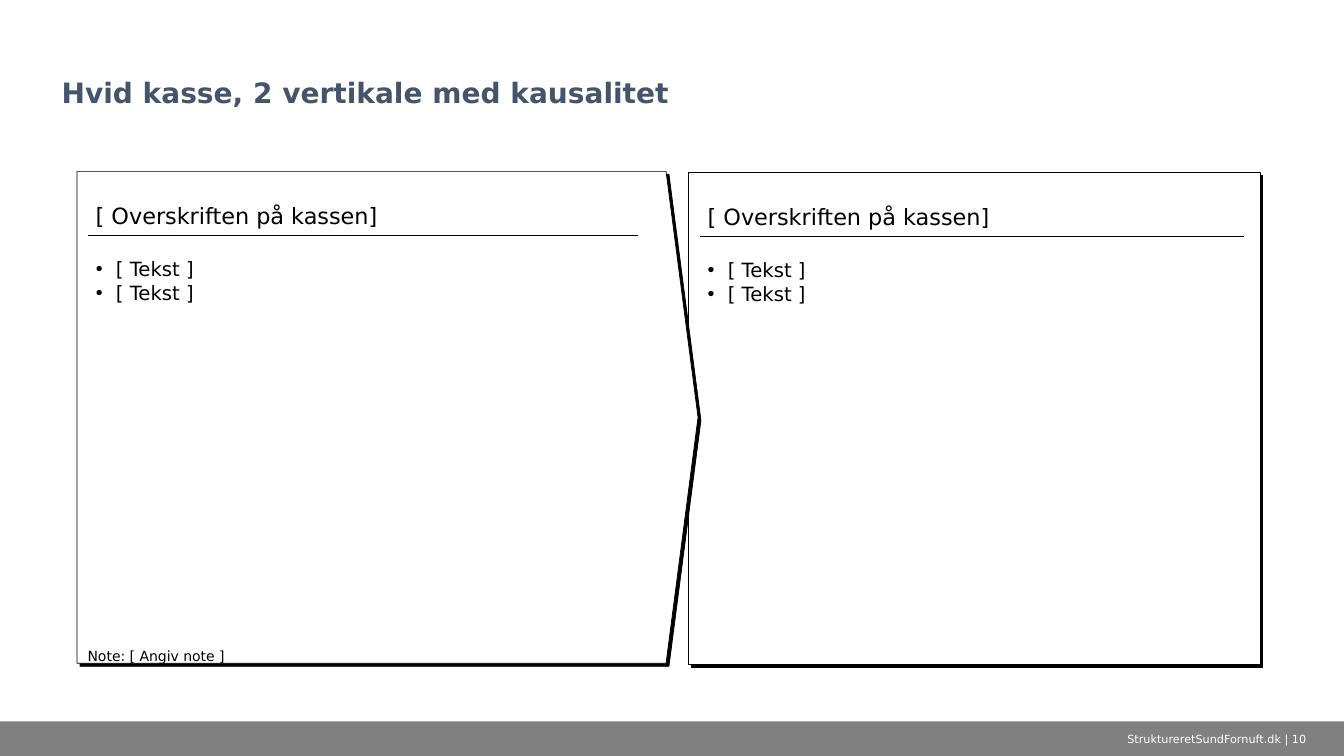
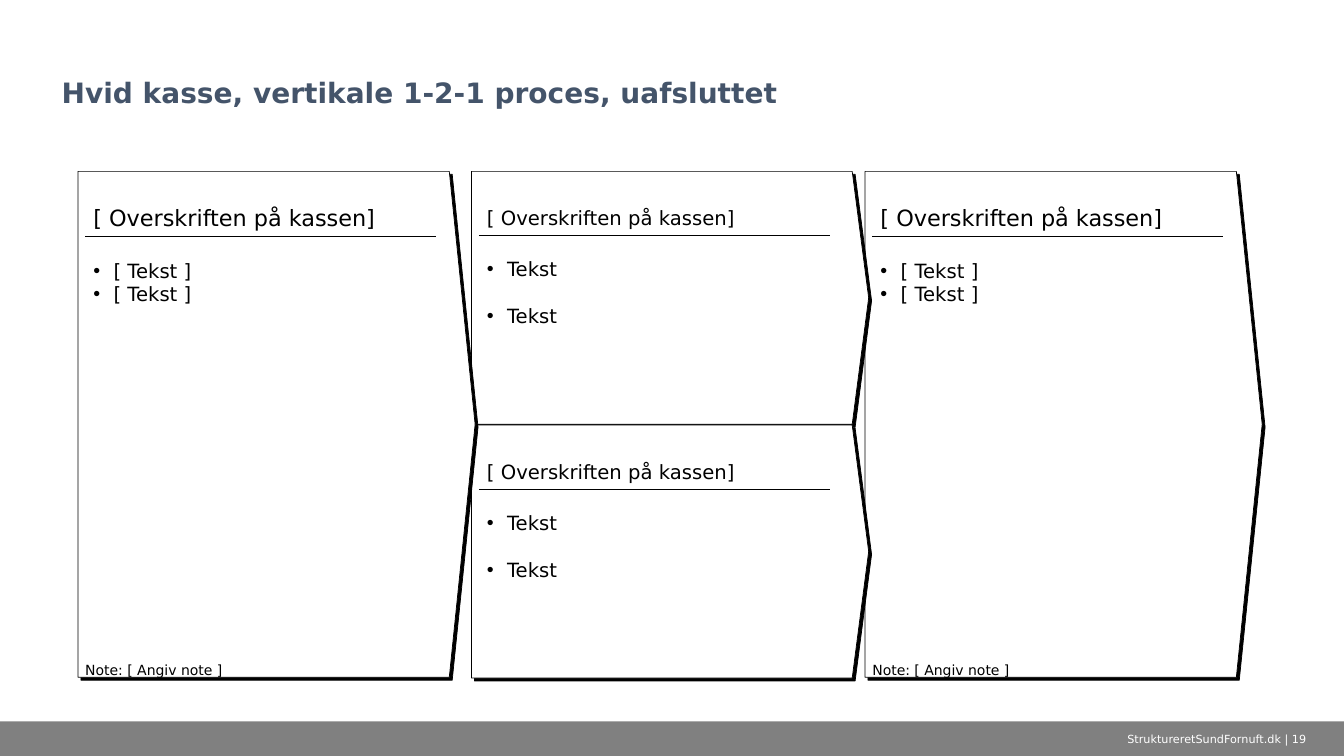
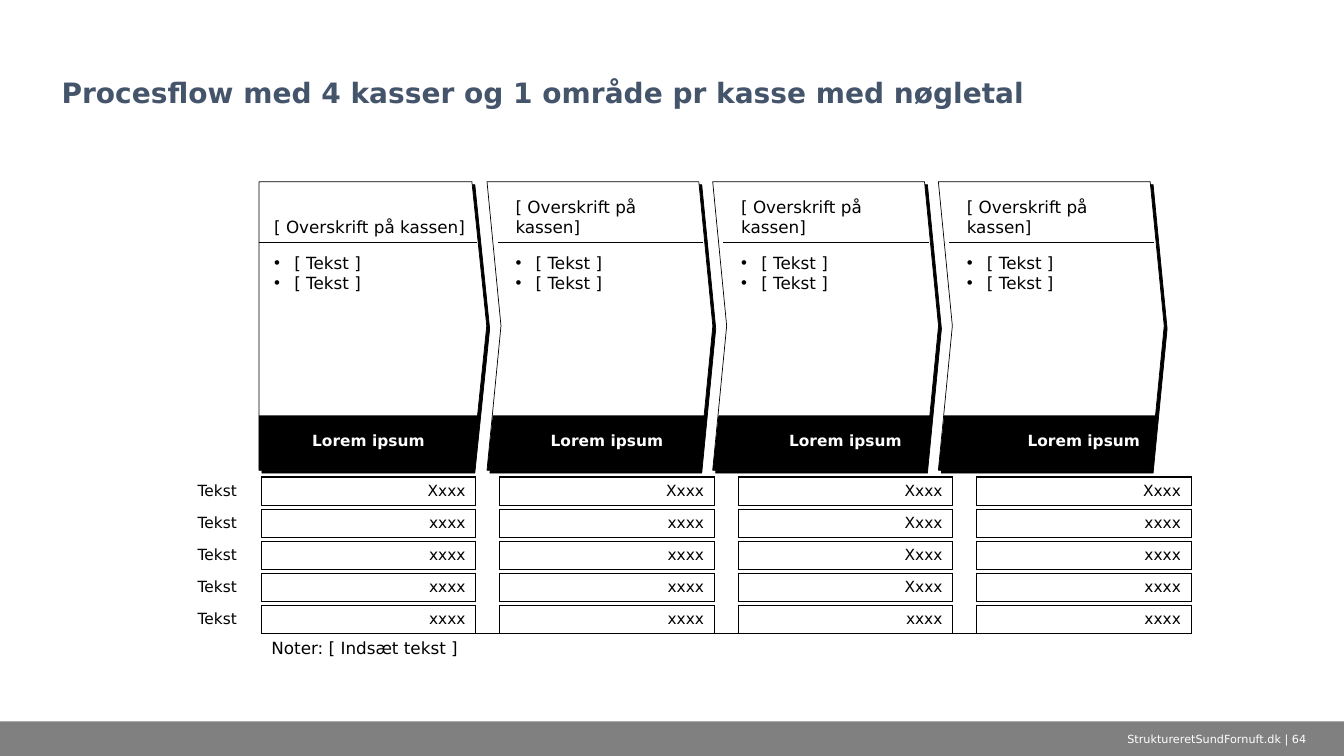
from collections.abc import Sequence
from dataclasses import dataclass, replace
from typing import NamedTuple

from lxml.etree import SubElement
from pptx import Presentation
from pptx.dml.color import RGBColor
from pptx.enum.shapes import MSO_CONNECTOR, MSO_SHAPE
from pptx.enum.text import MSO_ANCHOR, MSO_AUTO_SIZE, PP_ALIGN
from pptx.oxml.ns import qn
from pptx.util import Pt

COLOURS = {"ink": "000000", "paper": "FFFFFF", "title": "44546A", "footer": "808080"}
FONT = "DejaVu Sans"
SLIDE_WIDTH, SLIDE_HEIGHT = 960, 540
TWO_LISTS, FOUR_LISTS = 3, 4  # layouts with two and four body placeholders
BOX_INSETS = (5.8, 4.3, 5.8, 4.3)
DEFAULT_INSETS = (7.2, 3.6, 7.2, 3.6)
BULLET_INDENT = 14.4


class Area(NamedTuple):
    left: float
    top: float
    width: float
    height: float

    def points(self) -> list[Pt]:
        return [Pt(length) for length in self]


FOOTER = Area(0, 515.3, SLIDE_WIDTH, 24.7)
FOOTER_TEXT = Area(778.5, 515.3, 181.5, 24.5)
TITLE = Area(36.8, 12.2, 886.3, 69.8)


@dataclass(frozen=True)
class Card:
    """A white box: heading, rule and list, with an optional note or black base."""

    area: Area
    text_inset: float
    text_width: float
    rule_drop: float
    shape: MSO_SHAPE = MSO_SHAPE.PENTAGON
    point: float = 0.065
    heading: str = "[ Overskriften på kassen]"
    heading_size: float = 16
    items: tuple[str, ...] = ("[ Tekst ]", "[ Tekst ]")
    item_size: float = 14
    item_space: float = 0
    list_drop: float = 11.5
    rule_inset: float | None = None
    rule_width: float | None = None
    note: str = ""
    base_width: float = 0

    def moved(self, left: float, top: float | None = None) -> "Card":
        top = self.area.top if top is None else top
        return replace(self, area=self.area._replace(left=left, top=top))


def rgb(name: str) -> RGBColor:
    return RGBColor.from_string(COLOURS[name])


def add_bullet(para) -> None:
    properties = para._p.get_or_add_pPr()
    properties.set("marL", str(Pt(BULLET_INDENT)))
    properties.set("indent", str(-Pt(BULLET_INDENT)))
    SubElement(properties, qn("a:buFont")).set("typeface", "Arial")
    SubElement(properties, qn("a:buChar")).set("char", "•")


def write_text(frame, lines: Sequence[str], *, size: float, colour: str = "ink",
               bold: bool = False, align=PP_ALIGN.LEFT, bulleted: bool = False,
               space: float = 0, line_spacing: float = 1.0) -> None:
    for index, line in enumerate(lines):
        para = frame.paragraphs[0] if index == 0 else frame.add_paragraph()
        para.alignment = align
        para.line_spacing = line_spacing
        para.space_before = Pt(space if index else 0)
        para.space_after = Pt(0)
        if bulleted:
            add_bullet(para)
        span = para.add_run()
        span.text = line
        span.font.name = FONT
        span.font.size = Pt(size)
        span.font.bold = bold
        span.font.color.rgb = rgb(colour)


def set_frame(frame, *, anchor=MSO_ANCHOR.TOP,
              insets: tuple[float, ...] = DEFAULT_INSETS) -> None:
    frame.word_wrap = True
    frame.auto_size = MSO_AUTO_SIZE.NONE
    frame.vertical_anchor = anchor
    (frame.margin_left, frame.margin_top,
     frame.margin_right, frame.margin_bottom) = [Pt(inset) for inset in insets]


def add_text(page, area: Area, text: str, *, anchor=MSO_ANCHOR.TOP,
             insets: tuple[float, ...] = DEFAULT_INSETS, **text_format) -> None:
    box = page.shapes.add_textbox(*area.points())
    set_frame(box.text_frame, anchor=anchor, insets=insets)
    write_text(box.text_frame, [text], **text_format)


def place(placeholder, area: Area) -> None:
    (placeholder.left, placeholder.top,
     placeholder.width, placeholder.height) = area.points()


def add_page(deck, layout_index: int, title: str, number: int):
    page = deck.slides.add_slide(deck.slide_layouts[layout_index])
    heading = page.shapes.title
    place(heading, TITLE)
    set_frame(heading.text_frame, anchor=MSO_ANCHOR.BOTTOM)
    write_text(heading.text_frame, [title], size=20, colour="title", bold=True,
               line_spacing=0.9)
    add_text(page, FOOTER_TEXT, f"StruktureretSundFornuft.dk | {number}", size=8,
             colour="paper", align=PP_ALIGN.CENTER, anchor=MSO_ANCHOR.MIDDLE)
    return page


def add_footer_band(deck, page) -> None:
    """Draw the footer band and hand it to the master, so every page shows it."""
    band = page.shapes.add_shape(MSO_SHAPE.RECTANGLE, *FOOTER.points())
    band.shadow.inherit = False
    band.fill.solid()
    band.fill.fore_color.rgb = rgb("footer")
    band.line.fill.background()
    band.element.nvSpPr.cNvPr.set("id", "20")
    deck.slide_master.shapes.element.append(band.element)


def add_hard_shadow(shape) -> None:
    shape.shadow.inherit = False
    effects = shape.element.spPr.find(qn("a:effectLst"))
    shadow = SubElement(effects, qn("a:outerShdw"), blurRad="0", dist=str(Pt(3)),
                        dir="2700000", algn="tl", rotWithShape="0")
    SubElement(shadow, qn("a:srgbClr"), val=COLOURS["ink"])


def add_rule(page, left: float, top: float, width: float) -> None:
    rule = page.shapes.add_connector(MSO_CONNECTOR.STRAIGHT, Pt(left), Pt(top),
                                     Pt(left + width), Pt(top))
    rule.line.color.rgb = rgb("ink")
    rule.line.width = Pt(0.5)
    SubElement(rule.element.spPr, qn("a:effectLst"))


def add_base(page, card: Card) -> None:
    """Fill the foot of a card in black, along its slanted sides."""
    slant, height = 4.1, 39.4
    left, bottom = card.area.left, card.area.top + card.area.height + 0.3
    left_slant = slant if card.shape == MSO_SHAPE.CHEVRON else 0
    corners = [(left + left_slant, bottom - height),
               (left + card.base_width + slant, bottom - height),
               (left + card.base_width, bottom), (left, bottom)]
    start, *others = [(Pt(x), Pt(y)) for x, y in corners]
    builder = page.shapes.build_freeform(*start)
    builder.add_line_segments(others, close=True)
    base = builder.convert_to_shape()
    base.shadow.inherit = False
    base.fill.solid()
    base.fill.fore_color.rgb = rgb("ink")
    base.line.fill.background()


def add_card(page, card: Card, body) -> None:
    area = card.area
    outline = page.shapes.add_shape(card.shape, *area.points())
    if card.shape != MSO_SHAPE.RECTANGLE:
        outline.adjustments[0] = card.point
    outline.fill.solid()
    outline.fill.fore_color.rgb = rgb("paper")
    outline.line.color.rgb = rgb("ink")
    outline.line.width = Pt(0.5)
    add_hard_shadow(outline)

    text_left = area.left + card.text_inset
    rule_top = area.top + card.rule_drop
    rule_inset = card.text_inset if card.rule_inset is None else card.rule_inset
    add_rule(page, area.left + rule_inset, rule_top, card.rule_width or card.text_width)
    add_text(page, Area(text_left, area.top, card.text_width, card.rule_drop),
             card.heading, size=card.heading_size, anchor=MSO_ANCHOR.BOTTOM,
             insets=BOX_INSETS)

    list_top = rule_top + card.list_drop
    place(body, Area(text_left, list_top, card.text_width,
                     area.top + area.height - 11.5 - list_top))
    set_frame(body.text_frame, insets=BOX_INSETS)
    write_text(body.text_frame, card.items, size=card.item_size, bulleted=True,
               space=card.item_space)
    page.shapes.element.append(body.element)  # bring the list in front of the outline

    if card.note:
        add_text(page, Area(text_left, area.top + area.height - 11.2,
                            card.text_width, 12.2),
                 card.note, size=10, insets=(0, 0, 0, 0))
    if card.base_width:
        add_base(page, card)


def add_cards(page, cards: Sequence[Card]) -> None:
    bodies = [holder for holder in page.placeholders
              if holder.placeholder_format.idx in range(1, 5)]
    for card, body in zip(cards, bodies, strict=True):
        add_card(page, card, body)


def set_borders(cell, sides: dict[str, bool]) -> None:
    """Give each side of a cell a black line, or none."""
    properties = cell._tc.get_or_add_tcPr()
    for position, (side, visible) in enumerate(sides.items()):
        line = SubElement(properties, qn(f"a:ln{side}"), w=str(Pt(1) if visible else 0))
        properties.insert(position, line)
        if visible:
            SubElement(SubElement(line, qn("a:solidFill")), qn("a:srgbClr"),
                       val=COLOURS["ink"])
        else:
            SubElement(line, qn("a:noFill"))


def add_key_figures(page) -> None:
    values = [["Xxxx"] * 4, *[["xxxx", "xxxx", "Xxxx", "xxxx"]] * 3, ["xxxx"] * 4]
    widths = [52.8, *[153.1, 8.1] * 3, 153.1]
    heights = [46, *[2.5, 20.4] * len(values), 23]
    note_row = len(heights) - 1
    texts = {(note_row, 1): "Noter: [ Indsæt tekst ]"}
    texts |= {(0, column): "Lorem ipsum" for column in range(1, 8, 2)}
    for index, row_values in enumerate(values):
        row = 2 * index + 2
        texts[row, 0] = "Tekst"
        texts |= {(row, 2 * place_in_row + 1): value
                  for place_in_row, value in enumerate(row_values)}

    def is_value(row: int, column: int) -> bool:
        return 0 < row < note_row and row % 2 == 0 and column % 2 == 1 and column > 0

    area = Area(133.9, 292.3, sum(widths), sum(heights))
    table = page.shapes.add_table(len(heights), len(widths), *area.points()).table
    table.first_row = table.horz_banding = False
    for column, width in zip(table.columns, widths):
        column.width = Pt(width)
    for row, height in zip(table.rows, heights):
        row.height = Pt(height)
    for row in range(len(heights)):
        for column in range(len(widths)):
            cell = table.cell(row, column)
            cell.fill.background()
            neighbours = {"L": (row, column - 1), "R": (row, column + 1),
                          "T": (row - 1, column), "B": (row + 1, column)}
            set_borders(cell, {
                side: is_value(row, column) or (spot[1] < len(widths) and is_value(*spot))
                for side, spot in neighbours.items()})
            text = texts.get((row, column))
            if text is None:
                cell.margin_top = cell.margin_bottom = Pt(0)
                SubElement(cell.text_frame.paragraphs[0]._p, qn("a:endParaRPr"), sz="100")
            elif row == 0:
                cell.vertical_anchor = MSO_ANCHOR.MIDDLE
                write_text(cell.text_frame, [text], size=11, colour="paper", bold=True,
                           align=PP_ALIGN.CENTER)
            else:
                write_text(cell.text_frame, [text], size=12 if row == note_row else 11,
                           align=PP_ALIGN.RIGHT if is_value(row, column)
                           else PP_ALIGN.LEFT)
    table.cell(note_row, 1).merge(table.cell(note_row, len(widths) - 1))


def build_two_boxes(deck) -> None:
    page = add_page(deck, TWO_LISTS, "Hvid kasse, 2 vertikale med kausalitet", 10)
    add_footer_band(deck, page)
    effect = Card(Area(491.8, 123.1, 408.2, 351.4), 7.9, 388.8, 45.4,
                  shape=MSO_SHAPE.RECTANGLE)
    cause = Card(Area(55.1, 122.4, 443.5, 351.4), 7.5, 393.1, 45.4,
                 note="Note: [ Angiv note ]")
    add_cards(page, [effect, cause])


def build_open_process(deck) -> None:
    page = add_page(deck, FOUR_LISTS, "Hvid kasse, vertikale 1-2-1 proces, uafsluttet", 19)
    left, top, pitch, height = 55.7, 122.4, 281.1, 361.4
    tall = Card(Area(left, top, 283.7, height), 5.2, 250.6, 46.6,
                note="Note: [ Angiv note ]")
    half = replace(tall, area=Area(left + pitch, top, 283.7, height / 2), rule_drop=46,
                   heading_size=14, items=("Tekst", "Tekst"), item_space=17,
                   list_drop=10.9, note="")
    add_cards(page, [tall.moved(left + 2 * pitch), half,
                     half.moved(left + pitch, top + 181.2), tall])


def build_process_flow(deck) -> None:
    page = add_page(deck, FOUR_LISTS,
                    "Procesflow med 4 kasser og 1 område pr kasse med nøgletal", 64)
    first = Card(Area(185, 129.8, 162.7, 206), 5, 149.8, 43.6,
                 heading="[ Overskrift på kassen]", heading_size=12, item_size=12,
                 list_drop=2.9, rule_inset=0, rule_width=155.5, base_width=154)
    later = replace(first, area=Area(347.9, 129.8, 161.3, 206), shape=MSO_SHAPE.CHEVRON,
                    point=0.062, text_inset=14.5, text_width=142.6, rule_inset=7.6,
                    rule_width=146.6, base_width=152.6)
    add_cards(page, [first, *(later.moved(347.9 + 161.2 * step) for step in range(3))])
    add_key_figures(page)


def main() -> None:
    deck = Presentation()
    deck.slide_width, deck.slide_height = Pt(SLIDE_WIDTH), Pt(SLIDE_HEIGHT)
    build_two_boxes(deck)
    build_open_process(deck)
    build_process_flow(deck)
    deck.save("out.pptx")


if __name__ == "__main__":
    main()
